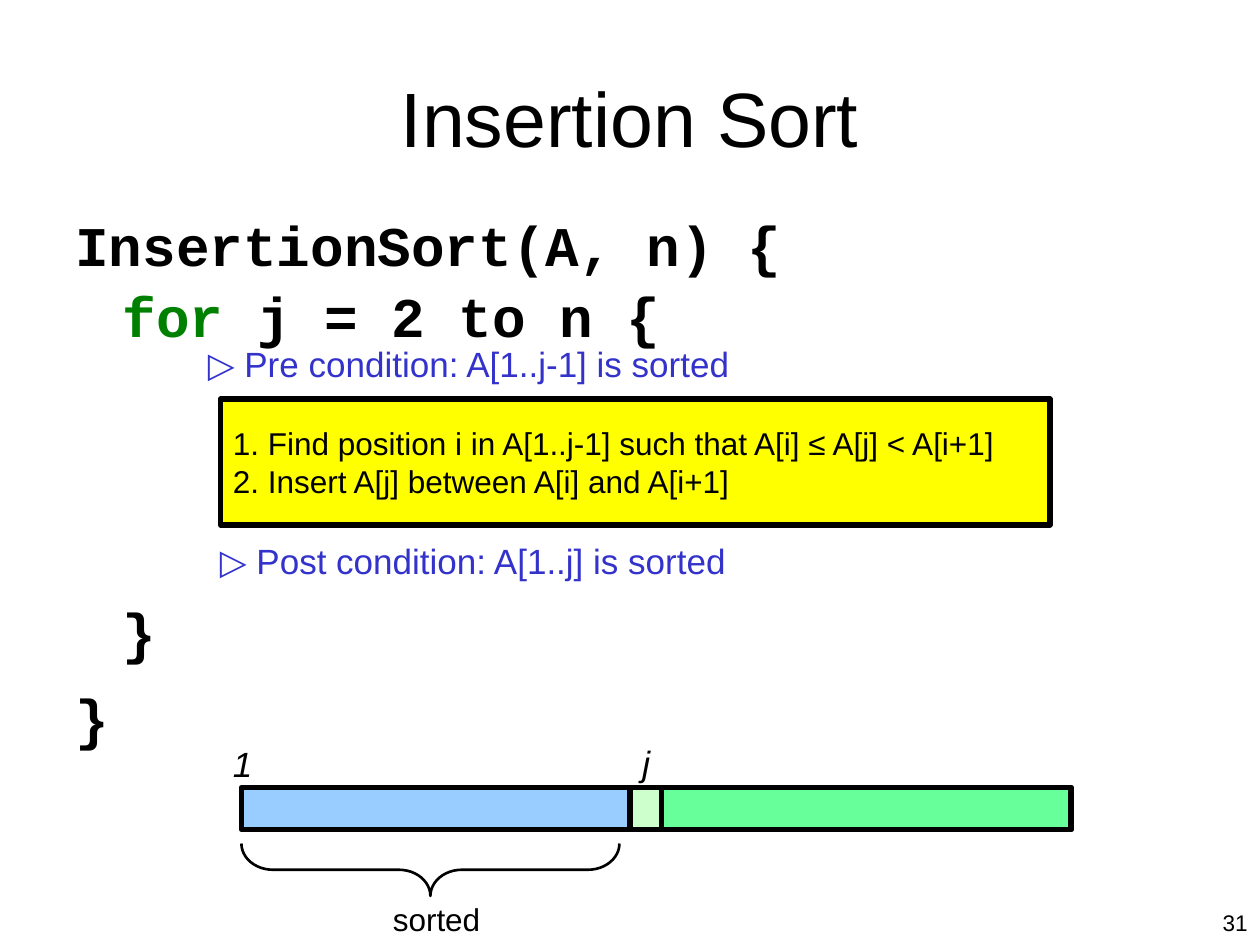
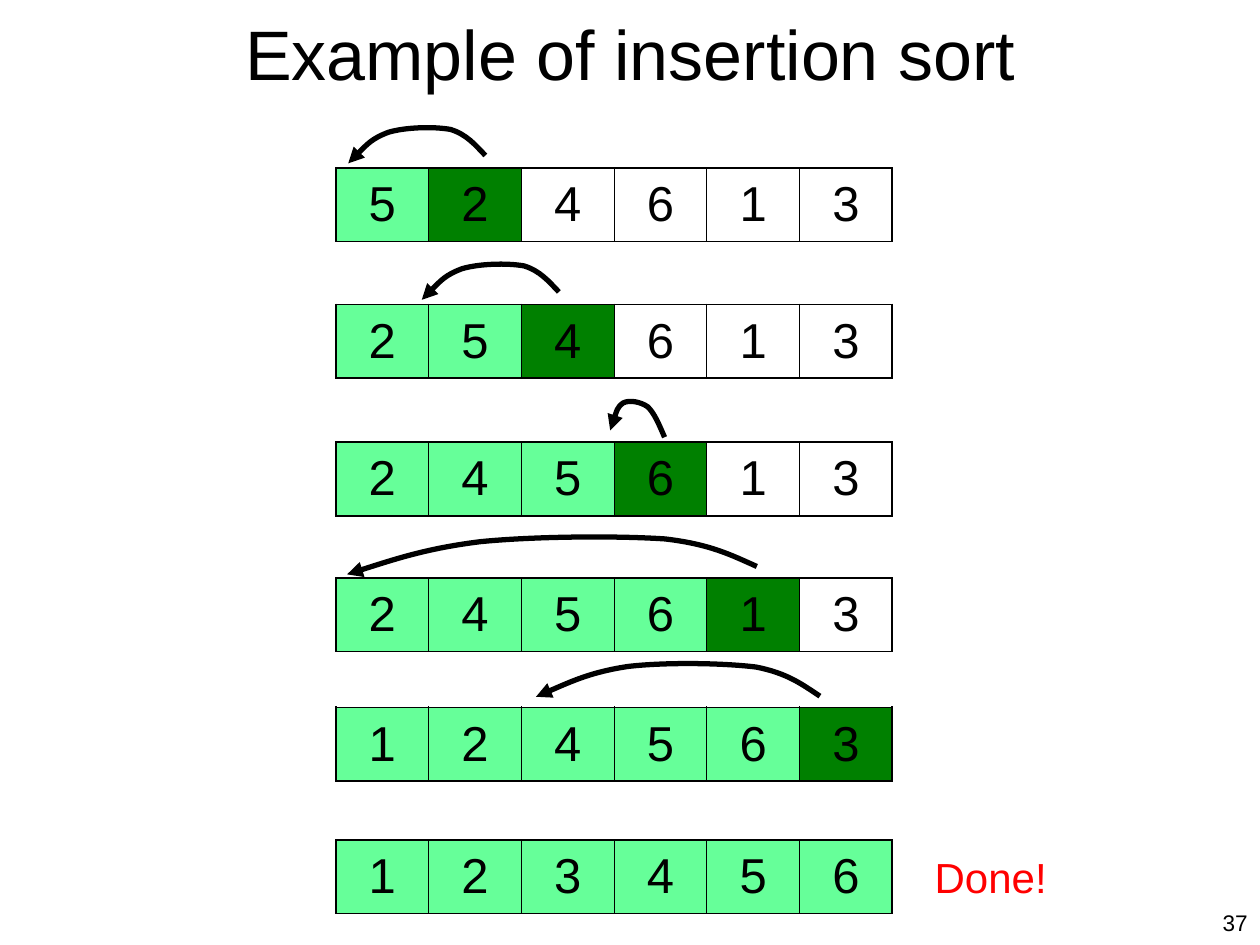
"""Build two slides that explain insertion sort."""
from dataclasses import dataclass
from math import cos, radians, sin

from lxml import etree
from pptx import Presentation
from pptx.dml.color import RGBColor
from pptx.enum import shapes, text
from pptx.oxml import ns
from pptx.util import Pt

BLACK = RGBColor(0x00, 0x00, 0x00)
GREEN = RGBColor(0x00, 0x80, 0x00)
MINT = RGBColor(0x66, 0xFF, 0x99)
PALE_GREEN = RGBColor(0xCC, 0xFF, 0xCC)
SKY = RGBColor(0x99, 0xCC, 0xFF)
YELLOW = RGBColor(0xFF, 0xFF, 0x00)
INDIGO = RGBColor(0x33, 0x33, 0xCC)
RED = RGBColor(0xFF, 0x00, 0x00)
SANS, MONO = "Arial", "Courier New"
LEFT, CENTER, RIGHT = text.PP_ALIGN.LEFT, text.PP_ALIGN.CENTER, text.PP_ALIGN.RIGHT

ROW_LEFT, ROW_WIDTH, ROW_HEIGHT = 192, 318, 42
OUTER_BORDER, INNER_BORDER = 1.08, 0.45
MOVE_CURVE = [(1, 0.98), (0.94, 0.69), (0.89, 0.41), (0.78, 0.23), (0.66, 0.09),
              (0.46, 0), (0.33, 0.05), (0.2, 0.13), (0.1, 0.38), (0, 0.62)]


@dataclass(frozen=True)
class Box:
    """A rectangle in points."""
    left: float
    top: float
    width: float
    height: float

    def lengths(self) -> list[int]:
        """Return the four lengths for python-pptx."""
        return [Pt(v) for v in (self.left, self.top, self.width, self.height)]


@dataclass(frozen=True)
class Run:
    """A piece of text that may differ from its paragraph."""
    words: str
    color: RGBColor | None = None
    bold: bool | None = None


@dataclass(frozen=True)
class CodeLine:
    """A line of code with its indent and the gap above it."""
    runs: list[Run]
    indent: float = 0
    gap: float = 0


@dataclass(frozen=True)
class Bar:
    """A part of the array, or a step box, with a thick outline."""
    box: Box
    color: RGBColor


@dataclass(frozen=True)
class Move:
    """The curved arrow that carries the key to its place."""
    box: Box
    tilt: float


@dataclass(frozen=True)
class Step:
    """One state of the array; the key follows the sorted part."""
    top: float
    numbers: str
    sorted_count: int
    move: Move | None = None


def write(frame, lines, *, size: float, font: str = SANS, color: RGBColor = BLACK,
          bold: bool = False, italic: bool = False, align=LEFT,
          anchor=text.MSO_ANCHOR.TOP, wrap: bool = True) -> None:
    """Fill a text frame with lines, each a string or a list of runs."""
    frame.word_wrap = wrap
    frame.auto_size = text.MSO_AUTO_SIZE.NONE
    frame.vertical_anchor = anchor
    for index, line in enumerate(lines):
        paragraph = frame.paragraphs[0] if index == 0 else frame.add_paragraph()
        paragraph.alignment = align
        for part in [Run(line)] if isinstance(line, str) else line:
            run = paragraph.add_run()
            run.text = part.words
            run.font.name, run.font.size = font, Pt(size)
            run.font.bold = bold if part.bold is None else part.bold
            run.font.italic = italic
            run.font.color.rgb = part.color or color


def add_label(slide, box: Box, lines, **style):
    """Add a text box and return its frame."""
    frame = slide.shapes.add_textbox(*box.lengths()).text_frame
    write(frame, lines, **style)
    return frame


def add_slide(deck, title: str, box: Box, size: float, number: str):
    """Add a slide with its title and page number."""
    slide = deck.slides.add_slide(deck.slide_layouts[5])
    heading = slide.shapes.title
    heading.left, heading.top, heading.width, heading.height = box.lengths()
    write(heading.text_frame, [title], size=size, align=CENTER,
          anchor=text.MSO_ANCHOR.MIDDLE)
    add_label(slide, Box(552, 516, 168, 24), [number], size=12.9, align=RIGHT)
    return slide


def outline(shape, width: float) -> None:
    """Give a shape a black line and no shadow."""
    shape.shadow.inherit = False
    shape.line.color.rgb = BLACK
    shape.line.width = Pt(width)


def add_bar(slide, bar: Bar):
    """Add a filled rectangle with a thick outline."""
    shape = slide.shapes.add_shape(shapes.MSO_SHAPE.RECTANGLE, *bar.box.lengths())
    outline(shape, 3)
    shape.fill.solid()
    shape.fill.fore_color.rgb = bar.color
    return shape


def add_code(slide, box: Box, lines: list[CodeLine]) -> None:
    """Add the code with its indents and gaps."""
    frame = add_label(slide, box, [line.runs for line in lines],
                      size=32, font=MONO, bold=True)
    for paragraph, line in zip(frame.paragraphs, lines):
        paragraph.space_before = Pt(line.gap)
        paragraph._p.get_or_add_pPr().set("marL", str(Pt(line.indent)))


def add_move(slide, move: Move) -> None:
    """Draw the tilted cubic curve with an arrowhead at its end."""
    box, angle = move.box, radians(move.tilt)
    points = []
    for across, down in MOVE_CURVE:
        x, y = (across - 0.5) * box.width, (down - 0.5) * box.height
        points.append((Pt(box.left + box.width / 2 + x * cos(angle) - y * sin(angle)),
                       Pt(box.top + box.height / 2 + x * sin(angle) + y * cos(angle))))
    builder = slide.shapes.build_freeform(*points[0])
    builder.add_line_segments(points[1:], close=False)
    arrow = builder.convert_to_shape()
    arrow.fill.background()
    outline(arrow, 3)
    segments = list(arrow._element.iter(ns.qn("a:lnTo")))
    for start in range(0, len(segments), 3):
        curve = etree.SubElement(segments[start].getparent(), ns.qn("a:cubicBezTo"))
        for segment in segments[start:start + 3]:
            curve.append(segment[0])
            segment.getparent().remove(segment)
    etree.SubElement(arrow.line._get_or_add_ln(), ns.qn("a:tailEnd"), type="triangle")


def set_borders(cell, **widths: float) -> None:
    """Draw black cell borders with one width per side."""
    properties = cell._tc.get_or_add_tcPr()
    for side, width in widths.items():
        line = etree.SubElement(properties, ns.qn(f"a:ln{side}"), w=str(Pt(width)))
        fill = etree.SubElement(line, ns.qn("a:solidFill"))
        etree.SubElement(fill, ns.qn("a:srgbClr"), val=str(BLACK))


def add_step(slide, step: Step) -> None:
    """Draw the array as a table, and the move of its key."""
    last = len(step.numbers) - 1
    box = Box(ROW_LEFT, step.top, ROW_WIDTH, ROW_HEIGHT)
    table = slide.shapes.add_table(1, last + 1, *box.lengths()).table
    table.first_row = table.horz_banding = False
    for index, number in enumerate(step.numbers):
        cell = table.cell(0, index)
        set_borders(cell, L=INNER_BORDER if index else OUTER_BORDER,
                    R=INNER_BORDER if index < last else OUTER_BORDER,
                    T=OUTER_BORDER, B=OUTER_BORDER)
        if index <= step.sorted_count:
            cell.fill.solid()
            cell.fill.fore_color.rgb = MINT if index < step.sorted_count else GREEN
        else:
            cell.fill.background()
        write(cell.text_frame, [number], size=28, align=CENTER)
        cell.vertical_anchor = text.MSO_ANCHOR.MIDDLE
    if step.move:
        add_move(slide, step.move)


def build_algorithm(deck) -> None:
    """Build the slide with the code and the partly sorted array."""
    slide = add_slide(deck, "Insertion Sort", Box(36, 21.6, 648, 90), 44, "31")
    add_code(slide, Box(36, 117, 648, 350), [
        CodeLine([Run("InsertionSort(A, n) {")]),
        CodeLine([Run("for", GREEN), Run(" j = 2 to n {")], indent=27, gap=2),
        CodeLine([Run("}")], indent=27, gap=142),
        CodeLine([Run("}")], gap=10.6),
    ])
    for box, condition in ((Box(110.9, 192, 314, 31.5), "Pre condition: A[1..j-1] is sorted"),
                           (Box(118, 304.6, 304.6, 31.5), "Post condition: A[1..j] is sorted")):
        add_label(slide, box, [[Run("▷", bold=True), Run(f" {condition}")]],
                  size=20, color=INDIGO, align=CENTER, wrap=False)

    task = add_bar(slide, Bar(Box(126, 228, 474, 72), YELLOW))
    write(task.text_frame,
          ["1. Find position i in A[1..j-1] such that A[i] ≤ A[j] < A[i+1]",
           "2. Insert A[j] between A[i] and A[i+1]"],
          size=18, anchor=text.MSO_ANCHOR.MIDDLE)

    for bar in (Bar(Box(138, 450, 474, 24), SKY),
                Bar(Box(360, 450, 18, 24), PALE_GREEN),
                Bar(Box(378, 450, 234, 24), MINT)):
        add_bar(slide, bar)
    for box, index in ((Box(126, 421, 25, 31.5), "1"), (Box(360, 420, 19, 31.5), "j")):
        add_label(slide, box, [index], size=20, italic=True, wrap=False)

    brace = slide.shapes.add_shape(shapes.MSO_SHAPE.LEFT_BRACE,
                                   *Box(231, 389, 30, 216).lengths())
    brace.rotation = 270
    brace.adjustments[0] = 0.6
    brace.fill.background()
    outline(brace, 1.5)
    add_label(slide, Box(217.4, 511, 64, 29), ["sorted"], size=18, wrap=False)


def build_example(deck) -> None:
    """Build the slide that sorts six numbers step by step."""
    slide = add_slide(deck, "Example of insertion sort", Box(36, 6, 648, 48), 40, "37")
    for step in (
        Step(96, "524613", 1, Move(Box(198, 72, 78, 24), -9.6)),
        Step(174, "254613", 2, Move(Box(240, 150, 78, 24), -9.6)),
        Step(252.7, "245613", 3, Move(Box(348, 228, 30, 25), -9.6)),
        Step(330.3, "245613", 4, Move(Box(198, 306, 234, 25), -3.3)),
        Step(404.2, "124563", 5, Move(Box(306, 378, 162, 25), -3.3)),
        Step(480, "123456", 6),
    ):
        add_step(slide, step)
    add_label(slide, Box(527, 483, 78.5, 36), ["Done!"], size=24, color=RED, wrap=False)


def main() -> None:
    """Build and save the presentation."""
    deck = Presentation()
    deck.slide_width, deck.slide_height = Pt(720), Pt(540)
    build_algorithm(deck)
    build_example(deck)
    deck.save("out.pptx")


if __name__ == "__main__":
    main()
